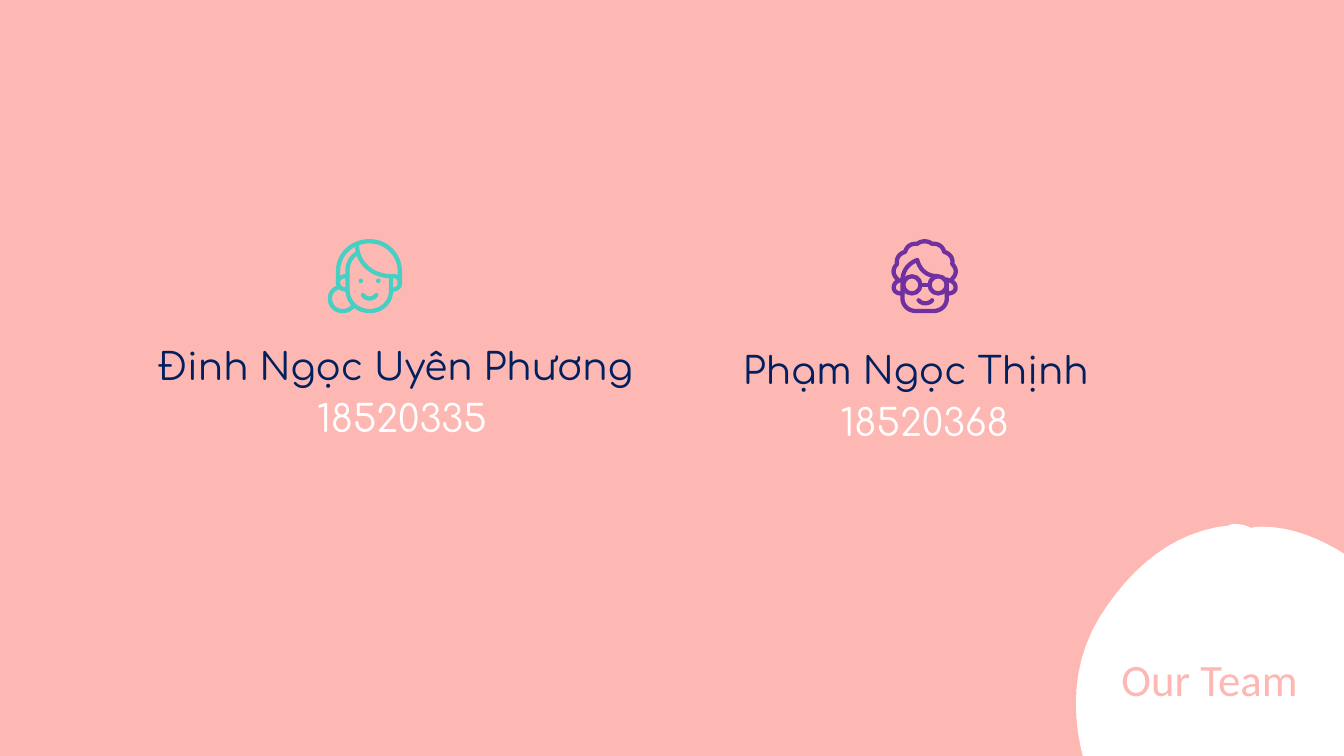
"""Build the team slide: two members with line icons and a titled corner blob."""
import dataclasses
import typing

import pptx
import pptx.dml.color
import pptx.enum.shapes
import pptx.enum.text
import pptx.oxml.ns
import pptx.util

Inches = pptx.util.Inches
Pt = pptx.util.Pt
Align = pptx.enum.text.PP_ALIGN
WIDE = 10
HIGH = WIDE * 9 / 16
CELL = WIDE / 100
DOT = WIDE / 1000
STEPS = 12


@dataclasses.dataclass(frozen=True)
class Theme:
    pink: str = "FEB8B3"
    white: str = "FFFFFF"
    navy: str = "002060"
    teal: str = "46CFC3"
    plum: str = "7030A0"
    body: str = "Comfortaa"
    head: str = "Calibri"
    name: float = 20
    title: float = 24
    stroke: float = 2.3
    edge: float = 1.5


@dataclasses.dataclass(frozen=True)
class Ring:
    x: float
    y: float
    radius: float
    solid: bool


@dataclasses.dataclass(frozen=True)
class Icon:
    col: float
    row: float
    color: str
    strokes: tuple[str, ...]
    rings: tuple[Ring, ...]


@dataclasses.dataclass(frozen=True)
class Line:
    text: str
    font: str
    size: float
    color: str
    align: typing.Any
    space: float


@dataclasses.dataclass(frozen=True)
class Label:
    col: float
    row: float
    wide: float
    high: float
    pad: float
    lines: tuple[Line, ...]


THEME = Theme()

WOMAN = Icon(24.4, 17.8, THEME.teal, (
    "7.5 32 / 7.5 24 / 7.5 11 18 1.5 31 1.5 / 43.5 1.5 53.5 11.5 53.5 24 / 53.5 33 / 53.5 36 51 37.5 47.5 37.5",
    "47 27.5 / 49 27.5 / 52 27.5 53.5 30 53.5 33",
    "14.5 27.5 / 10 27.5 7.5 29 7.5 32 / 7.5 35.5 10 37.5 14.5 37.5",
    "47 27.5 / 47 38 / 47 47 40 53.5 31 53.5 / 22 53.5 14.5 47 14.5 37 / 14.5 24 / 14.5 18 17 13.5 21.5 10.5",
    "21.5 4.5 / 22 18 33 27.5 47 27.5",
    "8.5 35.5 / 4 37 1.5 40 1.5 44 / 1.5 50 6 53.5 11 53.5 / 14 53.5 17 52 19 49.5",
    "26 41.5 / 28.5 45 33.5 45 36 41.5",
), (Ring(24.5, 31, 1.7, True), Ring(37.5, 31, 1.7, True)))

MAN = Icon(66.3, 17.8, THEME.plum, (
    "4.5 29.5 / 1 26 1 22 4.5 18.5 / 3.5 14 6.5 10.5 10.5 9.5 / 11.5 5 15.5 3 19.5 3.5 / 22.5 1 27.5 1 30.5 3.5"
    " / 34.5 3 38.5 5 39.5 9.5 / 43.5 10.5 46.5 14 45.5 18.5 / 49 22 49 26 45.5 29.5",
    "8.5 30.5 / 4.5 30.5 2 33 2 36 / 2 39 4.5 40.5 8.5 40.5",
    "41.5 30.5 / 45.5 30.5 48 33 48 36 / 48 39 45.5 40.5 41.5 40.5",
    "8.5 30 / 8.5 44 / 8.5 49.5 13 53.5 18.5 53.5 / 31.5 53.5 / 37 53.5 41.5 49.5 41.5 44 / 41.5 30",
    "8.5 30 / 9 23 13 18 19.5 15.5 / 21 22 26 27.5 34 27.5",
    "22 34 / 28.5 34",
    "20.5 45.5 / 23 48.5 28 48.5 30.5 45.5",
), (Ring(15.5, 34, 6.4, False), Ring(35, 34, 6.4, False)))

FIELD = (
    "-198 -1115 / -258 -1115 -319 -1097 -379 -1053 / -585 -902 -580 -561 -540 -315"
    " / -482 36 -304 341 -90 594 / 69 784 249 1012 493 1012 / 499 1012 506 1012 512 1011"
    " / 1019 987 1573 635 1758 73 / 1832 -151 1873 -490 1740 -697 / 1676 -798 1580 -835 1477 -835"
    " / 1435 -835 1392 -829 1350 -819 / 1345 -821 1340 -823 1334 -825 / 1303 -835 1273 -839 1245 -839"
    " / 1111 -839 1015 -735 912 -618 / 780 -471 650 -322 520 -173 / 506 -457 402 -700 220 -898"
    " / 203 -916 184 -929 162 -937 / 55 -1031 -70 -1115 -198 -1115"
)
BLOB = (
    "919 391 / 917 391 916 391 915 392 / 874 396 842 423 819 460 / 795 499 798 546 815 587"
    " / 838 640 885 669 933 669 / 949 669 964 666 979 660 / 980 660 982 660 983 660"
    " / 987 660 990 659 994 658 / 1076 629 1086 495 1026 434 / 1005 413 971 393 940 393"
    " / 937 393 934 393 931 394 / 927 392 923 391 919 391"
)


def member(col: float, row: float, wide: float, name: str, code: str) -> Label:
    """Return the label with a member's name and number."""
    return Label(col, row, wide, 3.8, 1, (
        Line(name, THEME.body, THEME.name, THEME.navy, Align.LEFT, 1.15),
        Line(code, THEME.body, THEME.name, THEME.white, Align.CENTER, 1.15),
    ))


LABELS = (
    member(10.8, 24.05, 38.2, "Đinh Ngọc Uyên Phương", "18520335"),
    member(54.3, 24.35, 29, "Phạm Ngọc Thịnh", "18520368"),
)
TITLE = Label(78, 48, 24, 5, 0.5, (
    Line("Our Team", THEME.head, THEME.title, THEME.pink, Align.CENTER, 1),
))


def rgb(code: str) -> pptx.dml.color.RGBColor:
    """Turn a hex code into a colour."""
    return pptx.dml.color.RGBColor.from_string(code)


def assign(target: typing.Any, values: dict[str, typing.Any]) -> None:
    """Set every named attribute on the target."""
    for key, value in values.items():
        setattr(target, key, value)


def trace(stroke: str) -> list[tuple[float, float]]:
    """Turn slash-parted points and cubic curves into a polyline."""
    points: list[tuple[float, float]] = []
    for part in stroke.split("/"):
        nums = [float(word) for word in part.split()]
        if len(nums) == 2:
            points.append((nums[0], nums[1]))
            continue
        knots = [points[-1], *zip(nums[::2], nums[1::2])]
        for step in range(1, STEPS + 1):
            t = step / STEPS
            mix = ((1 - t) ** 3, 3 * t * (1 - t) ** 2, 3 * t * t * (1 - t), t ** 3)
            points.append((sum(m * k[0] for m, k in zip(mix, knots)),
                           sum(m * k[1] for m, k in zip(mix, knots))))
    return points


def paint(shape: typing.Any, color: str, width: float, solid: bool) -> None:
    """Give a shape its optional fill and optional round-ended line."""
    shape.shadow.inherit = False
    if solid:
        shape.fill.solid()
        shape.fill.fore_color.rgb = rgb(color)
    else:
        shape.fill.background()
    if width:
        shape.line.color.rgb = rgb(color)
        shape.line.width = Pt(width)
        shape.element.spPr.find(pptx.oxml.ns.qn("a:ln")).set("cap", "rnd")
    else:
        shape.line.fill.background()


def outline(slide: typing.Any, col: float, row: float, strokes: tuple[str, ...], close: bool) -> typing.Any:
    """Build one freeform from strokes drawn in dots off a grid point."""
    left, top = col * CELL, row * CELL
    pen = None
    for stroke in strokes:
        first, *rest = [(Inches(left + x * DOT), Inches(top + y * DOT)) for x, y in trace(stroke)]
        if pen is None:
            pen = slide.shapes.build_freeform(*first)
        else:
            pen.move_to(*first)
        pen.add_line_segments(rest, close=close)
    return pen.convert_to_shape()


def sketch(slide: typing.Any, icon: Icon) -> None:
    """Draw a line icon with its rings."""
    paint(outline(slide, icon.col, icon.row, icon.strokes, False), icon.color, THEME.stroke, False)
    for ring in icon.rings:
        left = icon.col * CELL + (ring.x - ring.radius) * DOT
        top = icon.row * CELL + (ring.y - ring.radius) * DOT
        side = Inches(2 * ring.radius * DOT)
        oval = slide.shapes.add_shape(pptx.enum.shapes.MSO_SHAPE.OVAL, Inches(left), Inches(top), side, side)
        paint(oval, icon.color, 0 if ring.solid else THEME.stroke, ring.solid)


def write(slide: typing.Any, label: Label) -> None:
    """Add a text box with one paragraph per line."""
    box = slide.shapes.add_textbox(*(Inches(n * CELL) for n in (label.col, label.row, label.wide, label.high)))
    frame = box.text_frame
    pad = Inches(label.pad * CELL)
    assign(frame, {"word_wrap": True, "margin_top": pad, "margin_bottom": pad,
                   "margin_left": Inches(CELL), "margin_right": Inches(CELL)})
    for rank, line in enumerate(label.lines):
        para = frame.add_paragraph() if rank else frame.paragraphs[0]
        assign(para, {"alignment": line.align, "line_spacing": line.space})
        run = para.add_run()
        run.text = line.text
        assign(run.font, {"name": line.font, "size": Pt(line.size)})
        run.font.color.rgb = rgb(line.color)


def main() -> None:
    """Build and save the slide."""
    deck = pptx.Presentation()
    assign(deck, {"slide_width": Inches(WIDE), "slide_height": Inches(HIGH)})
    slide = deck.slides.add_slide(deck.slide_layouts[6])
    paint(outline(slide, 0, 0, (FIELD,), True), THEME.pink, 0, True)
    for icon in (WOMAN, MAN):
        sketch(slide, icon)
    for label in LABELS:
        write(slide, label)
    paint(outline(slide, 0, 0, (BLOB,), True), THEME.white, THEME.edge, True)
    write(slide, TITLE)
    deck.save("out.pptx")


if __name__ == "__main__":
    main()
